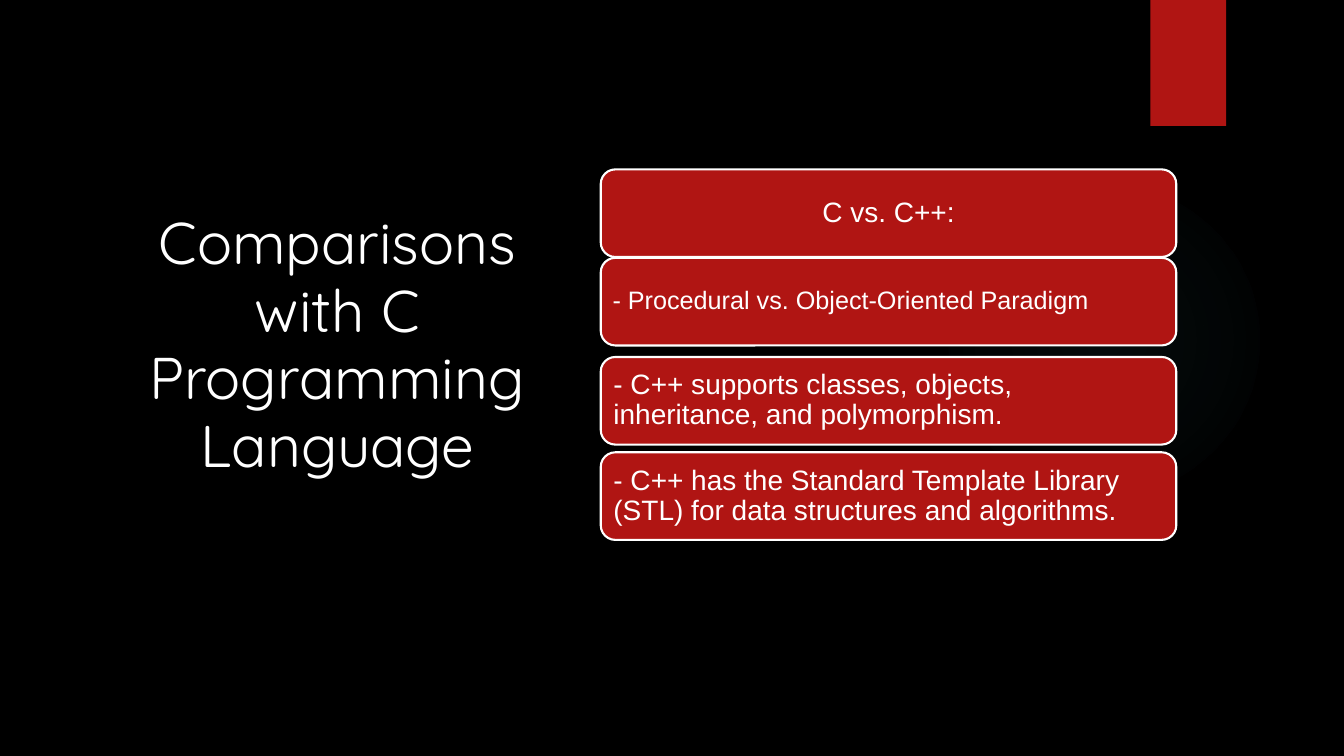
from lxml import etree
from pptx import Presentation
from pptx.dml.color import RGBColor
from pptx.enum.shapes import MSO_SHAPE
from pptx.enum.text import MSO_ANCHOR, PP_ALIGN
from pptx.oxml import parse_xml
from pptx.oxml.ns import nsdecls, qn
from pptx.util import Pt

RECTANGLE = MSO_SHAPE.RECTANGLE
ROUNDED = MSO_SHAPE.ROUNDED_RECTANGLE
OVAL = MSO_SHAPE.OVAL
MIDDLE = MSO_ANCHOR.MIDDLE
LEFT = PP_ALIGN.LEFT
CENTER = PP_ALIGN.CENTER

BLACK = "000000"
WHITE = "FFFFFF"
RED = "B01513"
TEAL = "50B9C1"

CARD_LEFT, CARD_WIDTH, CARD_HEIGHT = 429.1, 411.1, 62.6
CARDS = [
    (121, "C vs. C++:", 20, CENTER),
    (184.2, "- Procedural vs. Object-Oriented Paradigm", 18, LEFT),
    (255, "- C++ supports classes, objects, inheritance, and polymorphism.", 20, LEFT),
    (323.1, "- C++ has the Standard Template Library (STL) for data structures "
            "and algorithms.", 20, LEFT),
]


def color(value):
    return RGBColor.from_string(value)


def add_box(page, kind, left, top, width, height, fill=RED, line=None):
    box = page.shapes.add_shape(kind, Pt(left), Pt(top), Pt(width), Pt(height))
    box.shadow.inherit = False
    box.fill.solid()
    box.fill.fore_color.rgb = color(fill)
    if line:
        box.line.color.rgb = color(line)
        box.line.width = Pt(1.5)
    else:
        box.line.fill.background()
    return box


def write_text(box, text, size, font="Arial", align=LEFT, spacing=0.9, inset=None):
    frame = box.text_frame
    frame.word_wrap = True
    frame.vertical_anchor = MIDDLE
    if inset is not None:
        frame.margin_left = frame.margin_right = Pt(inset)
        frame.margin_top = frame.margin_bottom = Pt(inset)
    para = frame.paragraphs[0]
    para.alignment = align
    para.line_spacing = spacing
    span = para.add_run()
    span.text = text
    span.font.name = font
    span.font.size = Pt(size)
    span.font.color.rgb = color(WHITE)


def add_glow(page, left, top, size):
    glow = add_box(page, OVAL, left, top, size, size, fill=TEAL)
    gradient = parse_xml(f'<a:gradFill {nsdecls("a")} rotWithShape="1"/>')
    stops = etree.SubElement(gradient, qn("a:gsLst"))
    for position, alpha in ((0, 7000), (100000, 0)):
        stop = etree.SubElement(stops, qn("a:gs"), pos=str(position))
        tint = etree.SubElement(stop, qn("a:srgbClr"), val=TEAL)
        etree.SubElement(tint, qn("a:alpha"), val=str(alpha))
    circle = etree.SubElement(gradient, qn("a:path"), path="circle")
    etree.SubElement(circle, qn("a:fillToRect"),
                     l="50000", t="50000", r="50000", b="50000")
    properties = glow.element.spPr
    properties.replace(properties.find(qn("a:solidFill")), gradient)


def add_title(page, text):
    title = page.shapes.add_textbox(Pt(82.1), Pt(120.2), Pt(317.5), Pt(253.4))
    write_text(title, text, 42, font="Quicksand", align=CENTER, spacing=0.96)


def add_card(page, top, text, size, align):
    card = add_box(page, ROUNDED, CARD_LEFT, top, CARD_WIDTH, CARD_HEIGHT, line=WHITE)
    write_text(card, text, size, align=align, inset=size * 0.3)


def main():
    deck = Presentation()
    deck.slide_width, deck.slide_height = Pt(960), Pt(540)
    page = deck.slides.add_slide(deck.slide_layouts[6])
    page.background.fill.solid()
    page.background.fill.fore_color.rgb = color(BLACK)
    add_glow(page, 677.5, 131.8, 221.8)
    add_box(page, RECTANGLE, 821.8, 0, 54, 90)
    add_title(page, "Comparisons with C Programming Language")
    for card in CARDS:
        add_card(page, *card)
    deck.save("out.pptx")


if __name__ == "__main__":
    main()
